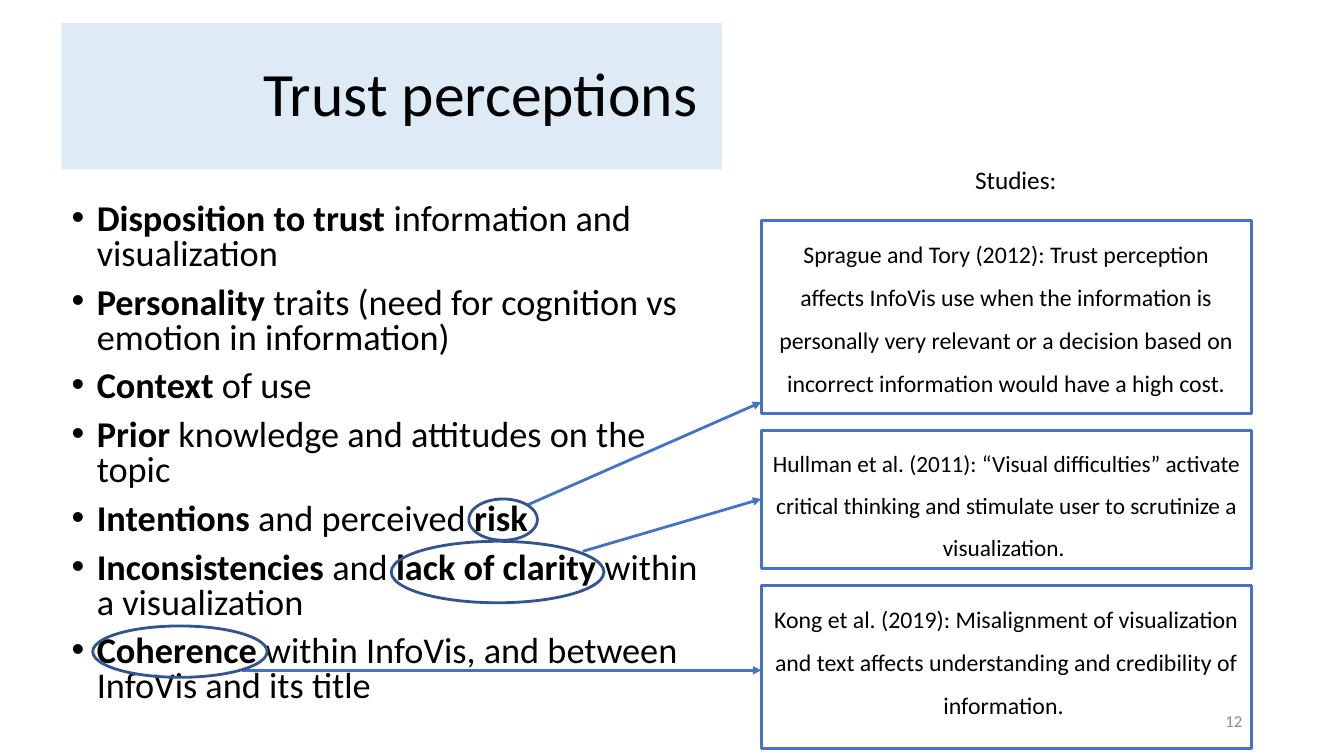
from dataclasses import dataclass

from lxml import etree
from pptx import Presentation
from pptx.dml.color import RGBColor
from pptx.enum.shapes import MSO_CONNECTOR, MSO_SHAPE
from pptx.enum.text import MSO_ANCHOR, MSO_AUTO_SIZE, PP_ALIGN
from pptx.oxml.ns import qn
from pptx.util import Inches, Pt

LEFT, CENTER, RIGHT = PP_ALIGN.LEFT, PP_ALIGN.CENTER, PP_ALIGN.RIGHT
TOP, MIDDLE = MSO_ANCHOR.TOP, MSO_ANCHOR.MIDDLE


@dataclass(frozen=True)
class Theme:
    font: str = "Calibri"
    text: str = "000000"
    muted: str = "8C8C8C"
    title_fill: str = "DEEBF7"
    accent: str = "4472C4"
    ring: str = "325491"
    title_size: float = 44
    list_size: float = 25.9
    label_size: float = 18
    number_size: float = 12
    line_width: float = 2


THEME = Theme()

TITLE = "Trust perceptions "
# Each point is a sequence of (text, bold) spans.
POINTS = [
    [("Disposition to trust ", True), ("information and visualization", False)],
    [("Personality", True),
     (" traits (need for cognition vs emotion in information)", False)],
    [("Context", True), (" of use", False)],
    [("Prior", True), (" knowledge and attitudes on the topic", False)],
    [("Intentions", True), (" and perceived ", False), ("risk", True)],
    [("Inconsistencies", True), (" and ", False), ("lack of clarity", True),
     (" within a visualization", False)],
    [("Coherence", True),
     (" within InfoVis, and between InfoVis and its title", False)],
]
STUDIES_LABEL = "Studies:"
# Text, box height, type size
STUDIES = [
    ("Sprague and Tory (2012): Trust perception affects InfoVis use when the "
     "information is personally very relevant or a decision based on incorrect "
     "information would have a high cost.", 1.91, 17),
    ("Hullman et al. (2011): “Visual difficulties” activate critical thinking "
     "and stimulate user to scrutinize a visualization. ", 1.37, 16.6),
    ("Kong et al. (2019): Misalignment of visualization and text affects "
     "understanding and credibility of information. ", 1.62, 17),
]
PAGE_NUMBER = "12"

LEFT_X, LEFT_WIDTH = 0.61, 6.55
STUDY_X, STUDY_Y, STUDY_WIDTH, STUDY_GAP = 7.55, 2.19, 4.86, 0.17
# Ring around a term (left, top, width, height), arrow start, arrow end height
TERM_LINKS = [
    ((4.65, 4.95, 0.68, 0.41), (5.23, 5.01), 3.99),
    ((3.88, 5.37, 2.11, 0.61), (5.78, 5.47), 4.95),
    ((0.92, 6.21, 1.73, 0.51), (2.40, 6.65), 6.65),
]


def place(shape, left, top, width, height):
    shape.left, shape.top = Inches(left), Inches(top)
    shape.width, shape.height = Inches(width), Inches(height)


def style_font(font, size, color=THEME.text, bold=False):
    font.name, font.size, font.bold = THEME.font, Pt(size), bold
    font.color.rgb = RGBColor.from_string(color)


def style_line(line, color):
    line.color.rgb = RGBColor.from_string(color)
    line.width = Pt(THEME.line_width)


def write(shape, text, size, align, anchor=TOP, spacing=1.0, color=THEME.text):
    frame = shape.text_frame
    frame.text = text
    frame.word_wrap = True
    frame.auto_size = MSO_AUTO_SIZE.NONE
    frame.vertical_anchor = anchor
    para = frame.paragraphs[0]
    para.alignment, para.line_spacing = align, spacing
    style_font(para.runs[0].font, size, color)


def add_outline(page, kind, bounds, color):
    shape = page.shapes.add_shape(kind, *map(Inches, bounds))
    shape.shadow.inherit = False
    shape.fill.background()
    style_line(shape.line, color)
    return shape


def add_arrow(page, start, end):
    arrow = page.shapes.add_connector(
        MSO_CONNECTOR.STRAIGHT, *map(Inches, start + end))
    style_line(arrow.line, THEME.accent)
    properties = arrow.element.spPr
    etree.SubElement(properties.find(qn("a:ln")), qn("a:tailEnd"), type="triangle")
    etree.SubElement(properties, qn("a:effectLst"))


def add_label(page, bounds, *text_style, **options):
    box = page.shapes.add_textbox(*map(Inches, bounds))
    write(box, *text_style, **options)


def fill_title(title):
    place(title, LEFT_X, 0.23, LEFT_WIDTH, 1.45)
    title.fill.solid()
    title.fill.fore_color.rgb = RGBColor.from_string(THEME.title_fill)
    write(title, TITLE, THEME.title_size, RIGHT, MIDDLE, 0.9)


def fill_points(body):
    place(body, LEFT_X, 1.97, LEFT_WIDTH, 5.69)
    frame = body.text_frame
    frame.word_wrap = True
    frame.auto_size = MSO_AUTO_SIZE.NONE
    frame.vertical_anchor = TOP
    for index, spans in enumerate(POINTS):
        para = frame.add_paragraph() if index else frame.paragraphs[0]
        properties = para._p.get_or_add_pPr()
        properties.set("marL", str(Inches(0.25)))
        properties.set("indent", str(Inches(-0.25)))
        etree.SubElement(properties, qn("a:buFont"), typeface="Arial")
        etree.SubElement(properties, qn("a:buChar"), char="•")
        para.alignment, para.line_spacing = LEFT, 0.8
        para.space_before = Pt(10 if index else 0)
        for text, bold in spans:
            span = para.add_run()
            span.text = text
            style_font(span.font, THEME.list_size, bold=bold)


def add_studies(page):
    add_label(page, (9.04, 1.58, 2.07, 0.4), STUDIES_LABEL,
              THEME.label_size, CENTER)
    top = STUDY_Y
    for text, height, size in STUDIES:
        box = add_outline(page, MSO_SHAPE.RECTANGLE,
                          (STUDY_X, top, STUDY_WIDTH, height), THEME.accent)
        write(box, text, size, CENTER, spacing=1.5)
        top += height + STUDY_GAP


def main():
    deck = Presentation()
    deck.slide_width, deck.slide_height = Inches(13.33), Inches(7.5)
    page = deck.slides.add_slide(deck.slide_layouts.get_by_name("Title and Content"))
    fill_title(page.shapes.title)
    fill_points(page.placeholders[1])
    add_studies(page)
    for ring, start, end_y in TERM_LINKS:
        add_arrow(page, start, (STUDY_X, end_y))
        add_outline(page, MSO_SHAPE.OVAL, ring, THEME.ring)
    add_label(page, (9.42, 6.95, 3, 0.4), PAGE_NUMBER, THEME.number_size,
              RIGHT, MIDDLE, color=THEME.muted)
    deck.save("out.pptx")


if __name__ == "__main__":
    main()
